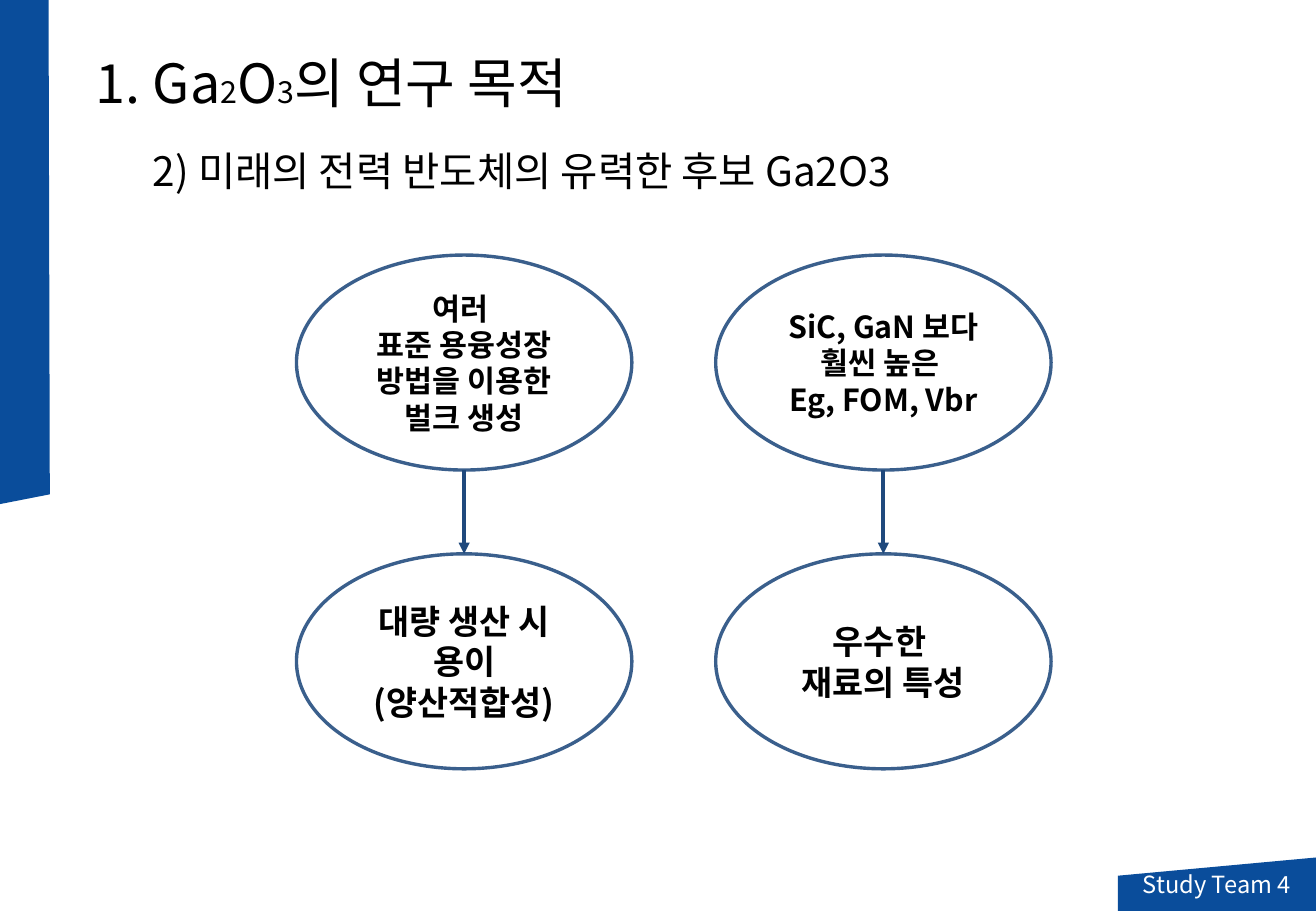
from lxml.etree import SubElement
from pptx import Presentation
from pptx.dml.color import RGBColor
from pptx.enum.shapes import MSO_CONNECTOR, MSO_SHAPE
from pptx.enum.text import MSO_ANCHOR, MSO_AUTO_SIZE, PP_ALIGN
from pptx.oxml.ns import qn
from pptx.util import Inches, Pt

FONT = "Noto Sans CJK KR"
COLORS = {
    "band": "0A4D9B",
    "oval": "3A5F8C",
    "arrow": "1F497D",
    "white": "FFFFFF",
    "black": "000000",
}
WIDE, HIGH = 10.83, 7.5
OVAL_W, OVAL_H = 2.76, 1.77
TOP, LOW = 2.1, 4.56
COLUMNS = [
    (2.44, ["여러 ", "표준 용융성장 방법을 이용한 벌크 생성"],
     ["대량 생산 시 용이", "(양산적합성)"]),
    (5.89, ["SiC, GaN 보다 훨씬 높은 ", "Eg, FOM, Vbr"],
     ["우수한 ", "재료의 특성"]),
]


def color(name):
    return RGBColor.from_string(COLORS[name])


def add_run(para, text, size, tint="black", bold=False):
    run = para.add_run()
    run.text = text
    font = run.font
    font.name = FONT
    font.size = Pt(size)
    font.bold = bold
    font.color.rgb = color(tint)
    SubElement(run._r.get_or_add_rPr(), qn("a:ea"), typeface=FONT)


def add_lines(shape, lines, size, tint="black", bold=False):
    frame = shape.text_frame
    frame.word_wrap = True
    frame.vertical_anchor = MSO_ANCHOR.MIDDLE
    for i, line in enumerate(lines):
        para = frame.add_paragraph() if i else frame.paragraphs[0]
        para.alignment = PP_ALIGN.CENTER
        add_run(para, line, size, tint, bold)


def add_text(slide, left, top, width, height, runs):
    box = slide.shapes.add_textbox(
        Inches(left), Inches(top), Inches(width), Inches(height))
    frame = box.text_frame
    frame.word_wrap = False
    frame.auto_size = MSO_AUTO_SIZE.SHAPE_TO_FIT_TEXT
    for text, size in runs:
        add_run(frame.paragraphs[0], text, size)


def add_band(slide, points):
    start, *rest = [(Inches(x), Inches(y)) for x, y in points]
    form = slide.shapes.build_freeform(*start)
    form.add_line_segments(rest, close=True)
    band = form.convert_to_shape()
    band.shadow.inherit = False
    band.fill.solid()
    band.fill.fore_color.rgb = color("band")
    band.line.fill.background()
    return band


def add_oval(slide, left, top, lines, size):
    oval = slide.shapes.add_shape(
        MSO_SHAPE.OVAL, Inches(left), Inches(top), Inches(OVAL_W), Inches(OVAL_H))
    oval.shadow.inherit = False
    oval.fill.solid()
    oval.fill.fore_color.rgb = color("white")
    oval.line.color.rgb = color("oval")
    oval.line.width = Pt(2)
    add_lines(oval, lines, size, bold=True)


def add_arrow(slide, x, top, low):
    arrow = slide.shapes.add_connector(
        MSO_CONNECTOR.STRAIGHT, Inches(x), Inches(top), Inches(x), Inches(low))
    arrow.line.color.rgb = color("arrow")
    arrow.line.width = Pt(2.25)
    SubElement(arrow.line._get_or_add_ln(), qn("a:tailEnd"), type="triangle")
    SubElement(arrow._element.spPr, qn("a:effectLst"))


def main():
    deck = Presentation()
    deck.slide_width = Inches(WIDE)
    deck.slide_height = Inches(HIGH)
    slide = deck.slides.add_slide(deck.slide_layouts[6])

    add_band(slide, [(0.4, 0), (0, 0), (0, 4.15), (0.41, 4.07)])
    for left, cause, effect in COLUMNS:
        add_oval(slide, left, TOP, cause, 18)
        add_oval(slide, left, LOW, effect, 20)
        add_arrow(slide, left + OVAL_W / 2, TOP + OVAL_H, LOW)
    foot = add_band(slide, [(WIDE, 7.06), (WIDE, HIGH), (9.2, HIGH), (9.2, 7.21)])
    add_lines(foot, ["Study Team 4"], 14, "white")

    add_text(slide, 1.16, 1.15, 6.96, 0.5,
             [("2) 미래의 전력 반도체의 유력한 후보 Ga2O3", 24)])
    add_text(slide, 0.69, 0.36, 4.44, 0.64,
             [("1. Ga", 32), ("2", 18), ("O", 32), ("3", 18), ("의 연구 목적", 32)])
    deck.save("out.pptx")


if __name__ == "__main__":
    main()
